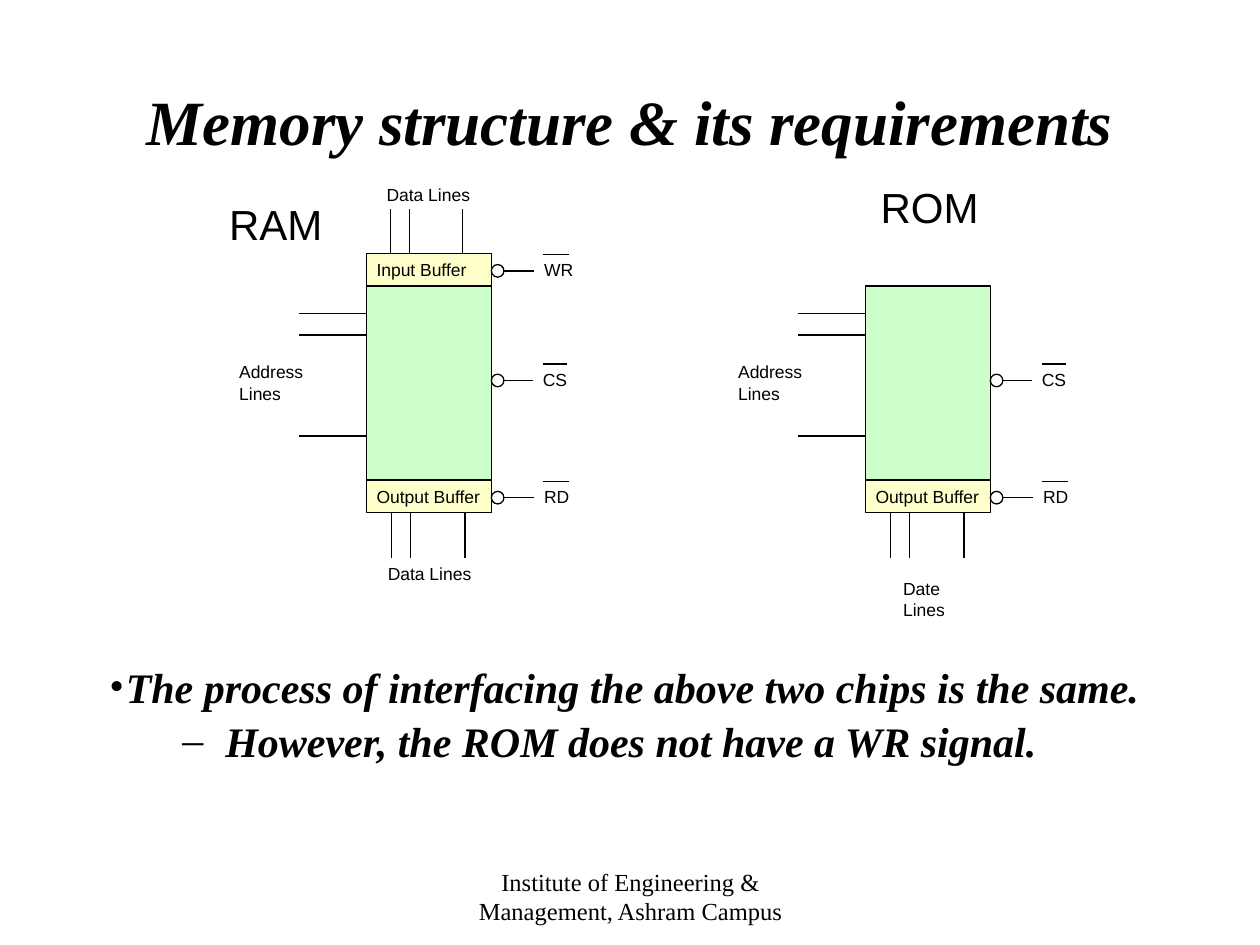
from lxml import etree
from pptx import Presentation
from pptx.dml.color import RGBColor
from pptx.enum.shapes import MSO_CONNECTOR, MSO_SHAPE
from pptx.enum.text import MSO_ANCHOR, PP_ALIGN
from pptx.oxml.ns import qn
from pptx.util import Inches, Pt

RECTANGLE, OVAL = MSO_SHAPE.RECTANGLE, MSO_SHAPE.OVAL
STRAIGHT = MSO_CONNECTOR.STRAIGHT
CENTER, LEFT = PP_ALIGN.CENTER, PP_ALIGN.LEFT
COLORS = {"ink": "000000", "memory": "CCFFCC", "buffer": "FFFFCC"}
INK = RGBColor.from_string(COLORS["ink"])
SERIF, SANS = "Times New Roman", "Arial"

presentation = Presentation()
presentation.slide_width, presentation.slide_height = Inches(10), Inches(7.5)
slide = presentation.slides.add_slide(presentation.slide_layouts[6])


def add_text(box, text, size=10, font=SANS, bold=False, align=LEFT, wrap=False):
    """Add a text box; box is left, top, width, height in inches."""
    shape = slide.shapes.add_textbox(*map(Inches, box))
    frame = shape.text_frame
    frame.text = text
    frame.word_wrap = wrap
    for paragraph in frame.paragraphs:
        paragraph.alignment = align
        for run in paragraph.runs:
            run.font.name, run.font.size = font, Pt(size)
            run.font.bold = run.font.italic = bold
            run.font.color.rgb = INK
    return frame


def add_line(x1, y1, x2, y2):
    line = slide.shapes.add_connector(STRAIGHT, *map(Inches, (x1, y1, x2, y2)))
    line.line.color.rgb, line.line.width = INK, Pt(0.75)
    etree.SubElement(line._element.spPr, qn("a:effectLst"))


title = add_text((0.75, 0.33, 8.5, 1.25), "Memory structure & its requirements",
                 36, SERIF, True, CENTER, True)
title.vertical_anchor = MSO_ANCHOR.MIDDLE

body = add_text((0.75, 5.2, 8.5, 1.55),
                "The process of interfacing the above two chips is the same.\n"
                "However, the ROM does not have a WR signal.", 24, SERIF, True, wrap=True)
bullets = [("•", 0.15, 0.13), ("–", 0.94, 0.34)]
for paragraph, (bullet, margin, hanging) in zip(body.paragraphs, bullets):
    paragraph.space_before = Pt(2)
    properties = paragraph._p.get_or_add_pPr()
    properties.set("marL", str(Inches(margin)))
    properties.set("indent", str(-Inches(hanging)))
    etree.SubElement(properties, qn("a:buFont")).set("typeface", SERIF)
    etree.SubElement(properties, qn("a:buChar")).set("char", bullet)

# Signal: name, bubble top, label offset, label width, overbar length
WR = ("WR", 2.1, 1.31, 0.43, 0.21)
CS = ("CS", 2.97, 1.3, 0.39, 0.19)
RD = ("RD", 3.9, 1.31, 0.4, 0.21)
OUTPUT_BUFFER = ("Output Buffer", 3.81, 1.02)
INPUT_BUFFER = ("Input Buffer", 2.01, 0.91)
CHIP_WIDTH, BUFFER_HEIGHT, BUBBLE = 0.99, 0.26, 0.1

# Chip: left edge, name box, buffers, signals, data labels, data line starts
chips = [
    (6.87, "ROM", (6.89, 1.39, 0.98, 0.5), [OUTPUT_BUFFER], [CS, RD],
     [("Date\nLines", 0.2, 4.54, 0.53, 0.43)], [(4.07, 0.2, 0.35, 0.78)]),
    (2.91, "RAM", (1.72, 1.53, 0.94, 0.5), [OUTPUT_BUFFER, INPUT_BUFFER], [CS, RD, WR],
     [("Data Lines", 0.07, 4.42, 0.86, 0.27), ("Data Lines", 0.06, 1.41, 0.86, 0.27)],
     [(4.07, 0.2, 0.35, 0.78), (1.66, 0.19, 0.34, 0.76)]),
]
for left, name, name_box, buffers, signals, data_labels, data_lines in chips:
    right = left + CHIP_WIDTH
    blocks = [(RECTANGLE, left, 2.27, CHIP_WIDTH, 1.55, "memory")]
    blocks += [(RECTANGLE, left, top, CHIP_WIDTH, BUFFER_HEIGHT, "buffer")
               for _, top, _ in buffers]
    blocks += [(OVAL, right, signal[1], BUBBLE, BUBBLE, None) for signal in signals]
    for kind, x, y, width, height, color in blocks:
        shape = slide.shapes.add_shape(kind, *map(Inches, (x, y, width, height)))
        shape.shadow.inherit = False
        shape.line.color.rgb, shape.line.width = INK, Pt(0.75)
        if color:
            shape.fill.solid()
            shape.fill.fore_color.rgb = RGBColor.from_string(COLORS[color])
        else:
            shape.fill.background()

    for y in (2.49, 2.66, 3.46):
        add_line(left, y, left - 0.54, y)
    for top, *offsets in data_lines:
        for offset in offsets:
            add_line(left + offset, top, left + offset, top + 0.36)
    for signal, top, offset, width, bar in signals:
        middle = top + BUBBLE / 2
        add_line(left + offset + 0.02, middle, right + BUBBLE, middle)
        add_text((left + offset, top - 0.09, width, 0.27), signal)
        add_line(left + 1.4, top - 0.08, left + 1.4 + bar, top - 0.08)

    add_text(name_box, name, 24)
    add_text((left - 1.11, 2.82, 0.71, 0.43), "Address\nLines")
    for text, offset, top, width, height in data_labels:
        add_text((left + offset, top, width, height), text)
    for text, top, width in buffers:
        add_text((left - 0.02, top, width, 0.27), text)

add_text((3.42, 6.83, 3.17, 0.5), "Institute of Engineering & Management, Ashram Campus",
         14, SERIF, align=CENTER, wrap=True)

presentation.save("out.pptx")
